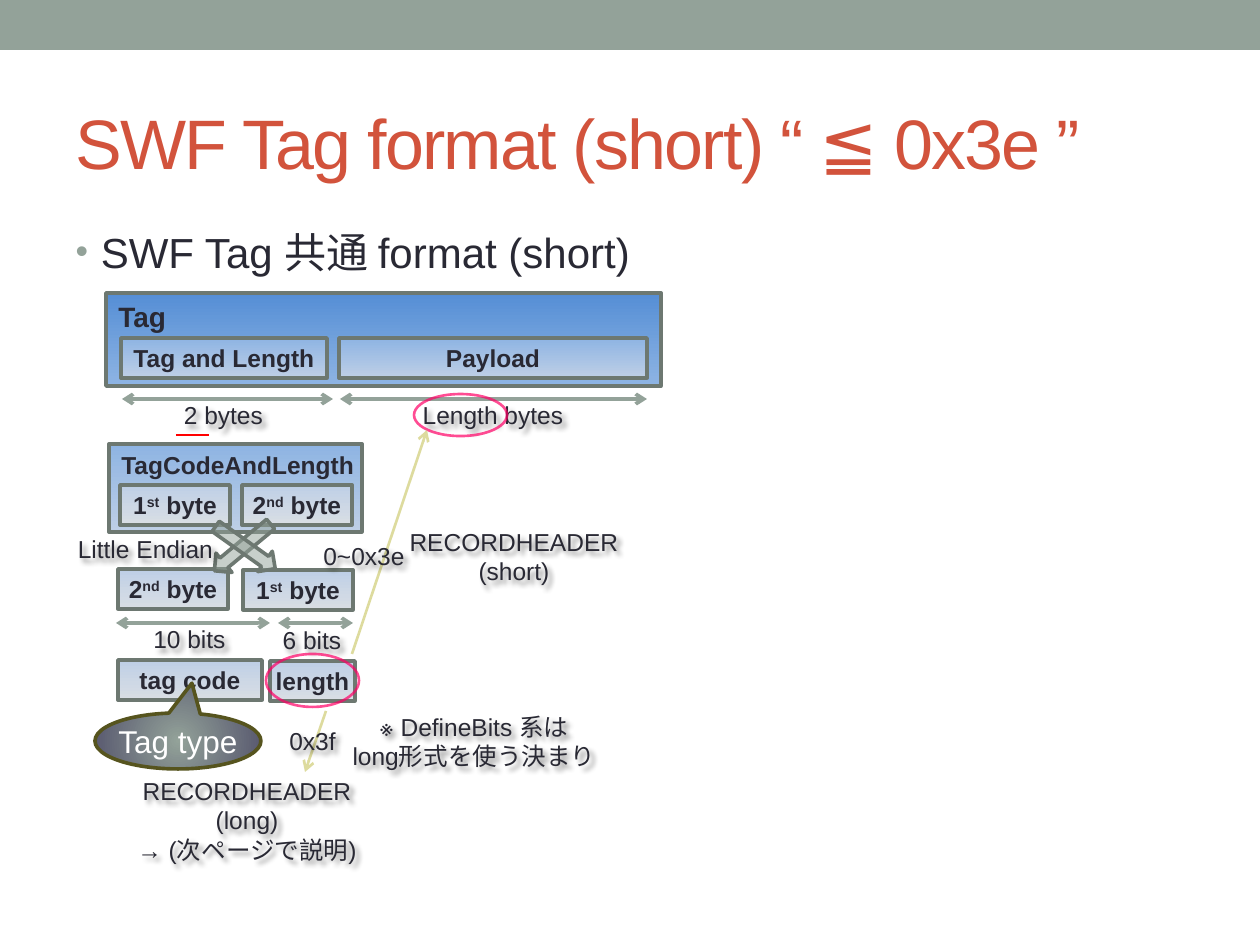
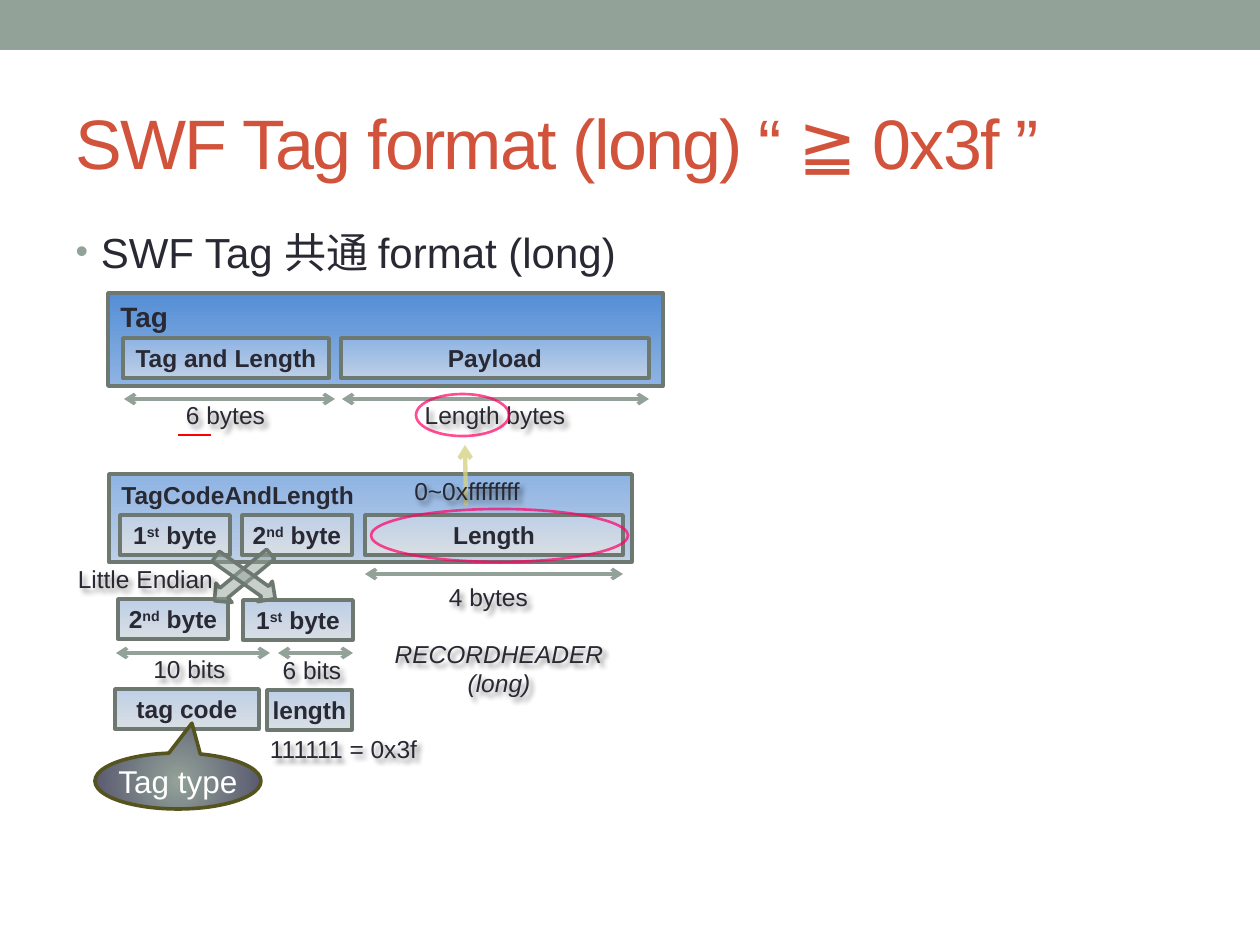
from lxml.etree import SubElement
from pptx import Presentation
from pptx.dml.color import RGBColor
from pptx.enum.shapes import MSO_CONNECTOR as Connector, MSO_SHAPE as Preset
from pptx.enum.text import MSO_ANCHOR as Anchor, PP_ALIGN as Align
from pptx.oxml.ns import qn
from pptx.util import Emu, Inches, Pt

PX = Inches(1) / 126
FONT = "Arial"
COLORS = {
    "band": "93A299", "title": "D2533C", "text": "292934", "white": "FFFFFF",
    "border": "6D7871", "olive": "56541E", "slate": "57576E",
    "deep": "558ED5", "mid": "8EB4E3", "light": "BECFE6", "pale": "D9DEE4",
    "mark": "FF0066", "red": "FF0000", "link": "D5D286", "black": "000000",
}
OUTER, MIDDLE, INNER = ("deep", "mid"), ("mid", "light"), ("light", "pale")
FIRST_BYTE = [("1", False), ("st", True), (" byte", False)]
SECOND_BYTE = [("2", False), ("nd", True), (" byte", False)]


def px(*lengths):
    return [Emu(round(length * PX)) for length in lengths]


def rgb(name):
    return RGBColor.from_string(COLORS[name])


def set_alpha(fill_parent, percent):
    color = fill_parent.find(".//" + qn("a:srgbClr"))
    SubElement(color, qn("a:alpha")).set("val", str(percent * 1000))


class Deck:
    """Holds the style and the slide being drawn."""

    def __init__(self):
        self.prs = Presentation()
        self.prs.slide_width, self.prs.slide_height = Inches(10), Inches(7.5)
        self.slide = None

    def start_slide(self, title, topic):
        self.slide = self.prs.slides.add_slide(self.prs.slide_layouts[1])
        self.shape(Preset.RECTANGLE, (0, 0, 1260, 50), fill="band")
        heading, body = self.slide.placeholders
        self.place(heading, (63, 73, 1134, 136))
        self.place(body, (63, 220, 1134, 672))

        heading.text_frame.vertical_anchor = Anchor.MIDDLE
        line = heading.text_frame.paragraphs[0]
        line.alignment = Align.LEFT
        self.run(line, title, 40, "title")._r.get_or_add_rPr().set("spc", "-100")

        item = body.text_frame.paragraphs[0]
        self.run(item, topic, 24)
        props = item._p.get_or_add_pPr()
        indent = Inches(0.2)
        props.set("marL", str(indent))
        props.set("indent", str(-indent))
        bullet_color = SubElement(props, qn("a:buClr"))
        SubElement(bullet_color, qn("a:srgbClr")).set("val", COLORS["band"])
        SubElement(props, qn("a:buSzPct")).set("val", "85000")
        SubElement(props, qn("a:buFont")).set("typeface", FONT)
        SubElement(props, qn("a:buChar")).set("char", "•")

    def place(self, holder, box):
        holder.left, holder.top, holder.width, holder.height = px(*box)

    def run(self, paragraph, text, size, color="text", bold=False, italic=False):
        run = paragraph.add_run()
        run.text = text
        font = run.font
        font.name, font.size = FONT, Pt(size)
        font.bold, font.italic = bold, italic
        font.color.rgb = rgb(color)
        return run

    def shape(self, preset, box, fill=None, line=None, width=2.08):
        """Fill is a colour name, a pair of names for a gradient, or None."""
        shape = self.slide.shapes.add_shape(preset, *px(*box))
        shape.shadow.inherit = False
        if fill is None:
            shape.fill.background()
        elif isinstance(fill, tuple):
            shape.fill.gradient()
            shape.fill.gradient_angle = 270
            for stop, name in zip(shape.fill.gradient_stops, fill):
                stop.color.rgb = rgb(name)
        else:
            shape.fill.solid()
            shape.fill.fore_color.rgb = rgb(fill)
        if line:
            shape.line.color.rgb = rgb(line)
            shape.line.width = Pt(width)
        else:
            shape.line.fill.background()
        return shape

    def field(self, box, text, fill=INNER):
        """A named field of the format: plain text or (text, raised) pairs."""
        shape = self.shape(Preset.RECTANGLE, box, fill, "border")
        frame = shape.text_frame
        frame.word_wrap = False
        frame.vertical_anchor = Anchor.MIDDLE
        paragraph = frame.paragraphs[0]
        paragraph.alignment = Align.CENTER
        for part, raised in [(text, False)] if isinstance(text, str) else text:
            run = self.run(paragraph, part, 14, bold=True)
            if raised:
                run._r.get_or_add_rPr().set("baseline", "30000")

    def group(self, box, text, fill, size):
        """A box around fields, with its name at the top left."""
        frame = self.shape(Preset.RECTANGLE, box, fill, "border").text_frame
        frame.word_wrap = False
        frame.vertical_anchor = Anchor.TOP
        frame.paragraphs[0].alignment = Align.LEFT
        self.run(frame.paragraphs[0], text, size, bold=True)

    def label(self, box, *lines, italic=False):
        """Shadowed text; the box is wide enough for its longest line."""
        label = self.slide.shapes.add_textbox(*px(*box))
        frame = label.text_frame
        frame.word_wrap = False
        frame.vertical_anchor = Anchor.MIDDLE
        frame.margin_top = frame.margin_bottom = 0
        frame.margin_left = frame.margin_right = 0
        for number, text in enumerate(lines):
            paragraph = frame.add_paragraph() if number else frame.paragraphs[0]
            paragraph.alignment = Align.CENTER
            self.run(paragraph, text, 14, italic=italic)
        effects = SubElement(label._element.spPr, qn("a:effectLst"))
        shadow = SubElement(effects, qn("a:outerShdw"), blurRad="38100",
                            dist="38100", dir="2700000", algn="tl")
        SubElement(shadow, qn("a:srgbClr")).set("val", COLORS["black"])
        set_alpha(shadow, 43)

    def line(self, start, end, color, width=1.5, alpha=None, heads=()):
        line = self.slide.shapes.add_connector(
            Connector.STRAIGHT, *px(*start, *end))
        line.line.color.rgb = rgb(color)
        line.line.width = Pt(width)
        outline = line.line._get_or_add_ln()
        if alpha:
            set_alpha(outline, alpha)
        for head in heads:
            SubElement(outline, qn("a:" + head)).set("type", "arrow")
        SubElement(line._element.spPr, qn("a:effectLst"))

    def span(self, left, right, y):
        self.line((left, y), (right, y), "band", 2.08,
                  heads=("headEnd", "tailEnd"))

    def link(self, start, end, width=1.5):
        self.line(start, end, "link", width, alpha=80, heads=("tailEnd",))

    def highlight(self, box):
        ring = self.shape(Preset.OVAL, box, line="mark", width=1.5)
        set_alpha(ring.line._get_or_add_ln(), 70)

    def swap_arrow(self, box, angle):
        arrow = self.shape(Preset.DOWN_ARROW, box, "band", "border")
        arrow.rotation = angle
        set_alpha(arrow._element.spPr, 50)

    def callout(self, box, text):
        bubble = self.shape(Preset.OVAL_CALLOUT, box, ("band", "slate"), "olive")
        bubble.adjustments[0], bubble.adjustments[1] = 0.084, -1.033
        gradient = bubble._element.spPr.find(qn("a:gradFill"))
        gradient.remove(gradient.find(qn("a:lin")))
        radial = SubElement(gradient, qn("a:path"), path="circle")
        SubElement(radial, qn("a:fillToRect"),
                   {side: "50000" for side in "ltrb"})
        frame = bubble.text_frame
        frame.word_wrap = False
        frame.vertical_anchor = Anchor.MIDDLE
        frame.paragraphs[0].alignment = Align.CENTER
        self.run(frame.paragraphs[0], text, 18, "white")


def draw_tag(deck, x, header_size):
    """The whole tag with the sizes of its two fields."""
    deck.group((x, 293, 555, 93), "Tag", OUTER, 16)
    deck.span(x + 16, x + 227, 399)
    deck.span(x + 234, x + 541, 399)
    deck.label((x + 66, 400, 103, 30), header_size)
    deck.label((x + 307, 400, 160, 30), "Length bytes")
    deck.highlight((x + 308, 394, 93, 42))
    deck.field((x + 15, 338, 206, 40), "Tag and Length", MIDDLE)
    deck.field((x + 233, 338, 308, 40), "Payload", MIDDLE)
    deck.line((x + 70, 435), (x + 103, 435), "red")


def draw_header(deck, y, width):
    """The header bytes, their swapped order and the bit spans."""
    deck.group((109, y, width, 88), "TagCodeAndLength", MIDDLE, 14)
    deck.field((120, y + 41, 110, 40), FIRST_BYTE)
    deck.field((242, y + 41, 110, 40), SECOND_BYTE)
    deck.field((118, y + 125, 110, 40), SECOND_BYTE)
    deck.field((243, y + 126, 110, 40), FIRST_BYTE)
    deck.swap_arrow((230, y + 67, 25, 73), 50.3)
    deck.swap_arrow((233, y + 67, 25, 73), 305.4)
    deck.label((71, y + 90, 149, 30), "Little Endian")
    deck.span(116, 270, y + 179)
    deck.span(278, 353, y + 179)
    deck.label((138, y + 180, 103, 30), "10 bits")
    deck.label((269, y + 181, 86, 30), "6 bits")


def draw_code_and_length(deck, x, y):
    deck.field((x, y, 144, 40), "tag code")
    deck.field((x + 152, y + 1, 85, 40), "length")


def short_slide(deck):
    deck.start_slide("SWF Tag format (short) “ ≦ 0x3e ”",
                     "SWF Tag 共通 format (short)")
    draw_tag(deck, 106, "2 bytes")
    draw_header(deck, 444, 253)
    deck.label((404, 525, 220, 63), "RECORDHEADER", "(short)")

    # Where each length value leads
    deck.link((352, 654), (427, 430))
    deck.link((326, 711), (305, 772))
    deck.label((117, 769, 260, 102),
               "RECORDHEADER", "(long)", "→ (次ページで説明)")
    draw_code_and_length(deck, 118, 660)
    deck.highlight((266, 654, 93, 53))
    deck.label((314, 541, 100, 30), "0~0x3e")
    deck.label((279, 726, 67, 30), "0x3f")
    deck.callout((95, 713, 166, 56), "Tag type")
    deck.label((339, 677, 270, 129), "※ DefineBits 系は", "long形式を使う決まり")


def long_slide(deck):
    deck.start_slide("SWF Tag format (long) “ ≧ 0x3f ”",
                     "SWF Tag 共通 format (long)")
    draw_tag(deck, 108, "6 bytes")
    draw_header(deck, 474, 523)
    deck.label((389, 637, 220, 63), "RECORDHEADER", "(long)", italic=True)

    # Extra four-byte length
    deck.field((365, 515, 258, 40), "Length")
    deck.span(365, 623, 574)
    deck.label((437, 582, 103, 30), "4 bytes")
    deck.highlight((371, 509, 257, 53))
    deck.link((466, 505), (465, 445), 2.5)
    deck.label((382, 476, 170, 30), "0~0xffffffff")

    # Tag code and fixed short length
    draw_code_and_length(deck, 115, 689)
    deck.label((246, 734, 195, 30), "111111 = 0x3f")
    deck.callout((95, 753, 166, 56), "Tag type")


def main():
    deck = Deck()
    short_slide(deck)
    long_slide(deck)
    deck.prs.save("out.pptx")


if __name__ == "__main__":
    main()
